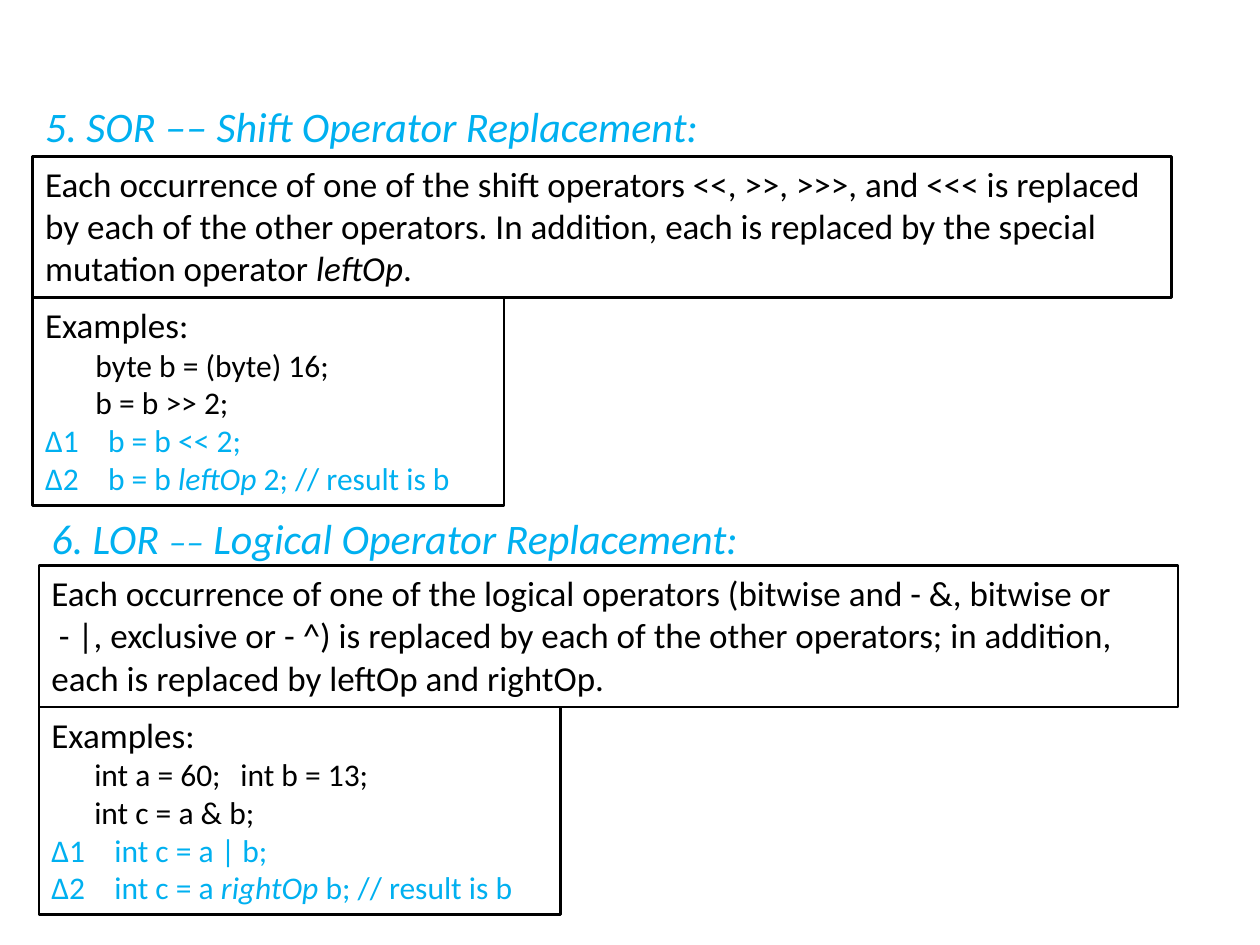
from lxml import etree
from pptx import Presentation
from pptx.dml.color import RGBColor
from pptx.enum.shapes import MSO_SHAPE
from pptx.enum.text import MSO_ANCHOR, PP_ALIGN
from pptx.oxml.ns import qn
from pptx.util import Inches, Pt

RECT = MSO_SHAPE.RECTANGLE
TOP = MSO_ANCHOR.TOP
LEFT = PP_ALIGN.LEFT


def color(value):
    return RGBColor.from_string(value)


def write(para, text, font="Calibri", size=20, ink="000000", italic=False):
    run = para.add_run()
    run.text = text
    run.font.name = font
    run.font.size = Pt(size)
    run.font.color.rgb = color(ink)
    run.font.italic = italic


def indent(para, first=0, tab=0):
    props = para._p.get_or_add_pPr()
    props.set("marL", "0")
    props.set("indent", str(Inches(first)))
    if tab:
        stops = etree.SubElement(props, qn("a:tabLst"))
        etree.SubElement(stops, qn("a:tab"), pos=str(Inches(tab)), algn="l")


class Page:
    black = "000000"
    blue = "00B0F0"

    def __init__(self, slide):
        self.slide = slide

    def fill(self, shape, lines):
        frame = shape.text_frame
        frame.word_wrap = True
        frame.vertical_anchor = TOP
        for i, (runs, style) in enumerate(lines):
            para = frame.paragraphs[0] if i == 0 else frame.add_paragraph()
            para.alignment = LEFT
            indent(para, **style)
            for text, form in runs:
                write(para, text, **form)

    def title(self, x, y, w, h, parts):
        box = self.slide.shapes.add_textbox(Inches(x), Inches(y), Inches(w), Inches(h))
        runs = [(text, dict(size=size, ink=self.blue, italic=True)) for text, size in parts]
        self.fill(box, [(runs, {})])

    def box(self, x, y, w, h, lines):
        box = self.slide.shapes.add_shape(RECT, Inches(x), Inches(y), Inches(w), Inches(h))
        box.shadow.inherit = False
        box.fill.background()
        box.line.color.rgb = color(self.black)
        box.line.width = Pt(1.5)
        self.fill(box, lines)

    def sample(self, x, y, w, code, first, shifts, tab, gap=0):
        lines = [([("Examples:", {})], {})]
        for text in code:
            lines.append(([(text, dict(size=18))], dict(first=first, tab=gap)))
        for i, parts in enumerate(shifts, 1):
            runs = [(f"∆{i}\t", dict(size=18, ink=self.blue))]
            for j, text in enumerate(parts):
                runs.append((text, dict(size=18, ink=self.blue, italic=j == 1)))
            lines.append((runs, dict(tab=tab)))
        self.box(x, y, w, 1.65, lines)


deck = Presentation()
deck.slide_width = Inches(10)
deck.slide_height = Inches(7.5)
page = Page(deck.slides.add_slide(deck.slide_layouts[6]))

page.title(0.26, 0.75, 8.65, 0.59, [("5. SOR –– Shift Operator Replacement:", 24)])
page.box(0.26, 1.24, 9.04, 1.12, [
    ([("Each occurrence of one of the shift operators <<, >>, >>>, and <<< is replaced "
       "by each of the other operators. In addition, each is replaced by the special "
       "mutation operator ", {}),
      ("leftOp", dict(italic=True)), (".", {})], {}),
])
page.sample(0.26, 2.36, 3.74, ["byte b = (byte) 16;", "b = b >> 2;"], 0.4,
            [["b = b << 2;"], ["b = b ", "leftOp", " 2; // result is b"]], 0.43)

page.title(0.31, 4.02, 7.67, 0.5, [
    ("6. LOR ", 24), ("––", 20), (" Logical Operator Replacement:", 24),
])
page.box(0.31, 4.49, 9.04, 1.12, [
    ([("Each occurrence of one of the logical operators (bitwise and - &, bitwise or", {})], {}),
    ([("- |, exclusive or - ^) is replaced by each of the other operators; in addition, "
       "each is replaced by leftOp and rightOp.", {})], dict(first=0.06)),
])
page.sample(0.31, 5.61, 4.14, ["int a = 60;\tint b = 13;", "int c = a & b;"], 0.34,
            [["int c = a | b;"], ["int c = a ", "rightOp", " b; // result is b"]], 0.38,
            gap=1.57)

deck.save("out.pptx")
